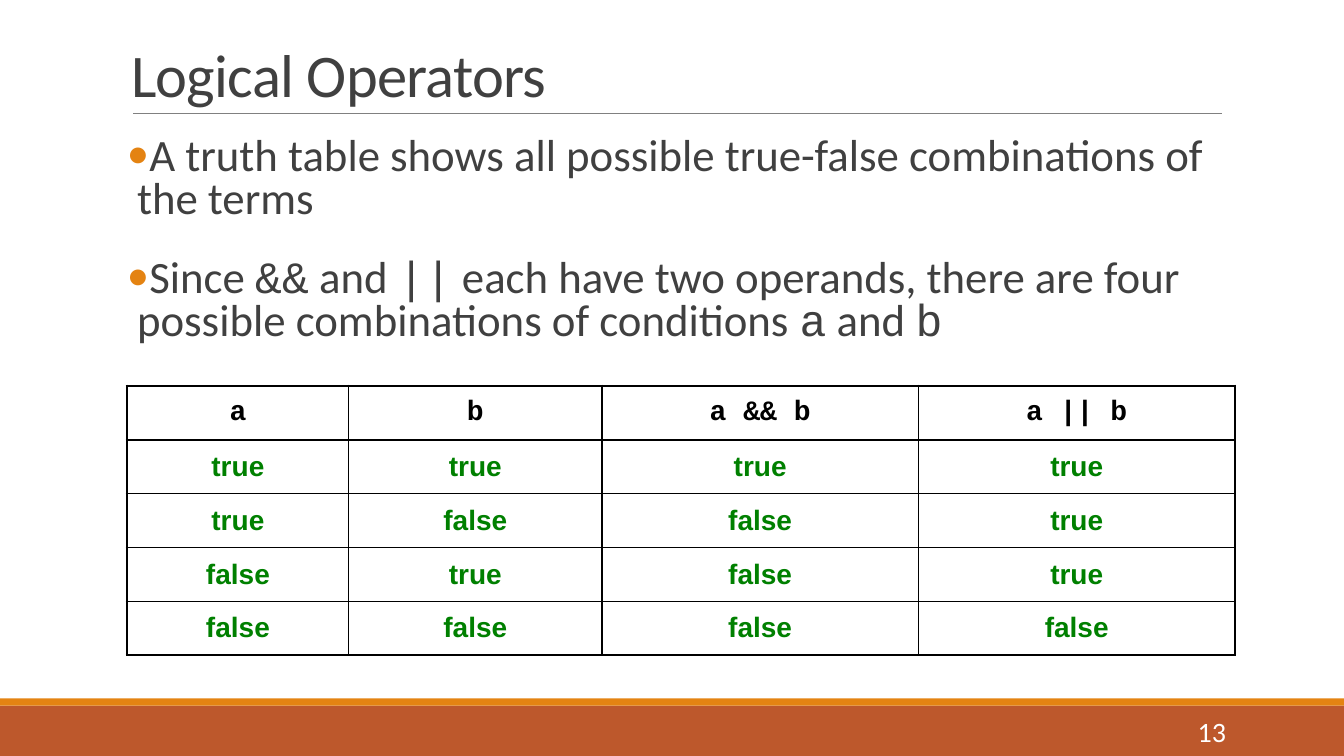
from dataclasses import dataclass

from lxml.etree import SubElement
from pptx import Presentation
from pptx.dml.color import RGBColor
from pptx.enum.shapes import MSO_CONNECTOR as Connector, MSO_SHAPE as Shape
from pptx.enum.text import MSO_ANCHOR as Anchor, PP_ALIGN as Align
from pptx.oxml.ns import qn
from pptx.util import Inches, Pt


@dataclass(frozen=True)
class Theme:
    text: str = "404040"
    accent: str = "E48312"
    footer: str = "BD582C"
    rule: str = "808080"
    white: str = "FFFFFF"
    header: str = "000000"
    value: str = "008000"
    border: str = "000000"
    body_font: str = "Calibri"
    code_font: str = "Courier New"
    value_font: str = "Arial"
    title_size: float = 43.2
    body_size: float = 32
    small_size: float = 20
    thick: float = 2.25
    thin: float = 1


THEME = Theme()
WIDTH, HEIGHT = 13.33, 7.5

BULLETS = [
    [("A truth table shows all possible true-false combinations of the terms", False)],
    [
        ("Since ", False), ("&&", True), (" and ", False), ("||", True),
        (" each have two operands, there are four possible combinations of conditions ", False),
        ("a", True), (" and ", False), ("b", True),
    ],
]
TRUTH_ROWS = [
    ["a", "b", "a && b", "a || b"],
    ["true", "true", "true", "true"],
    ["true", "false", "false", "true"],
    ["false", "true", "false", "true"],
    ["false", "false", "false", "false"],
]
COLUMN_WIDTHS = [2.2, 2.51, 3.14, 3.14]


def set_font(paragraph, size, color, name=None, bold=None):
    font = paragraph.font
    font.size = Pt(size)
    font.color.rgb = RGBColor.from_string(color)
    font.bold = bold
    if name:
        font.name = name


def add_bar(slide, left, top, width, height, color):
    bar = slide.shapes.add_shape(
        Shape.RECTANGLE, Inches(left), Inches(top), Inches(width), Inches(height))
    bar.shadow.inherit = False
    bar.fill.solid()
    bar.fill.fore_color.rgb = RGBColor.from_string(color)
    bar.line.fill.background()


def add_footer(slide, left, top, width, height, number):
    stripe = 0.07
    add_bar(slide, left, top + stripe, width, height - stripe, THEME.footer)
    add_bar(slide, left, top, width, stripe, THEME.accent)
    box = slide.shapes.add_textbox(
        Inches(left + 10.83), Inches(top + 0.13), Inches(1.43), Inches(0.4))
    box.text_frame.word_wrap = True
    box.text_frame.vertical_anchor = Anchor.MIDDLE
    paragraph = box.text_frame.paragraphs[0]
    paragraph.text = number
    paragraph.alignment = Align.RIGHT
    set_font(paragraph, THEME.small_size, THEME.white, THEME.body_font)


def add_title(slide, left, top, width, height, text):
    title = slide.shapes.title
    title.left, title.top = Inches(left), Inches(top)
    title.width, title.height = Inches(width), Inches(height)
    title.text_frame.vertical_anchor = Anchor.BOTTOM
    paragraph = title.text_frame.paragraphs[0]
    run = paragraph.add_run()
    run.text = text
    run.font._element.set("spc", "-50")
    paragraph.alignment = Align.LEFT
    paragraph.line_spacing = 0.85
    set_font(paragraph, THEME.title_size, THEME.text, THEME.body_font)

    rule_top = Inches(top + height - 0.02)
    rule = slide.shapes.add_connector(
        Connector.STRAIGHT, Inches(left + 0.12), rule_top, Inches(left + width - 0.08), rule_top)
    rule.line.color.rgb = RGBColor.from_string(THEME.rule)
    rule.line.width = Pt(0.5)
    SubElement(rule._element.spPr, qn("a:effectLst"))


def add_bullet_mark(paragraph, indent):
    properties = paragraph._p.get_or_add_pPr()
    properties.set("marL", str(Inches(indent)))
    properties.set("indent", str(-Inches(indent)))
    color = SubElement(properties, qn("a:buClr"))
    SubElement(color, qn("a:srgbClr"), val=THEME.accent)
    SubElement(properties, qn("a:buFont"), typeface=THEME.body_font)
    SubElement(properties, qn("a:buChar"), char="•")


def add_bullets(slide, left, top, width, height, bullets):
    box = slide.shapes.add_textbox(Inches(left), Inches(top), Inches(width), Inches(height))
    frame = box.text_frame
    frame.word_wrap = True
    frame.margin_left = frame.margin_right = 0
    for index, parts in enumerate(bullets):
        paragraph = frame.add_paragraph() if index else frame.paragraphs[0]
        add_bullet_mark(paragraph, 0.1)
        paragraph.line_spacing = 0.8
        paragraph.space_after = Pt(26)
        set_font(paragraph, THEME.body_size, THEME.text)
        for text, is_code in parts:
            run = paragraph.add_run()
            run.text = text
            run.font.name = THEME.code_font if is_code else THEME.body_font


def set_borders(cell, thick_sides):
    properties = cell._tc.get_or_add_tcPr()
    for side in "LRTB":
        width = THEME.thick if side in thick_sides else THEME.thin
        line = SubElement(properties, qn(f"a:ln{side}"), w=str(Pt(width)))
        fill = SubElement(line, qn("a:solidFill"))
        SubElement(fill, qn("a:srgbClr"), val=THEME.border)


def add_truth_table(slide, left, top, width, height, rows):
    frame = slide.shapes.add_table(
        len(rows), len(rows[0]), Inches(left), Inches(top), Inches(width), Inches(height))
    table = frame.table
    table.first_row = table.horz_banding = False
    for column, column_width in zip(table.columns, COLUMN_WIDTHS):
        column.width = Inches(column_width)
    for row_index, values in enumerate(rows):
        is_header = row_index == 0
        for column_index, value in enumerate(values):
            cell = table.cell(row_index, column_index)
            thick_sides = "R" if column_index % 2 else "L"
            if row_index <= 1:
                thick_sides += "T"
            if is_header or row_index == len(rows) - 1:
                thick_sides += "B"
            set_borders(cell, thick_sides)
            cell.fill.background()
            cell.vertical_anchor = Anchor.MIDDLE
            paragraph = cell.text_frame.paragraphs[0]
            paragraph.text = value
            paragraph.alignment = Align.CENTER
            set_font(paragraph, THEME.small_size,
                     THEME.header if is_header else THEME.value,
                     THEME.code_font if is_header else THEME.value_font, True)


def main():
    presentation = Presentation()
    presentation.slide_width, presentation.slide_height = Inches(WIDTH), Inches(HEIGHT)
    slide = presentation.slides.add_slide(presentation.slide_layouts[5])
    add_title(slide, 1.2, 0.39, 11, 0.75, "Logical Operators")
    add_truth_table(slide, 1.26, 3.83, 11, 2.67, TRUTH_ROWS)
    add_bullets(slide, 1.26, 1.31, 10.87, 2.33, BULLETS)
    add_footer(slide, 0, 6.93, WIDTH, HEIGHT - 6.93, "13")
    presentation.save("out.pptx")


if __name__ == "__main__":
    main()
